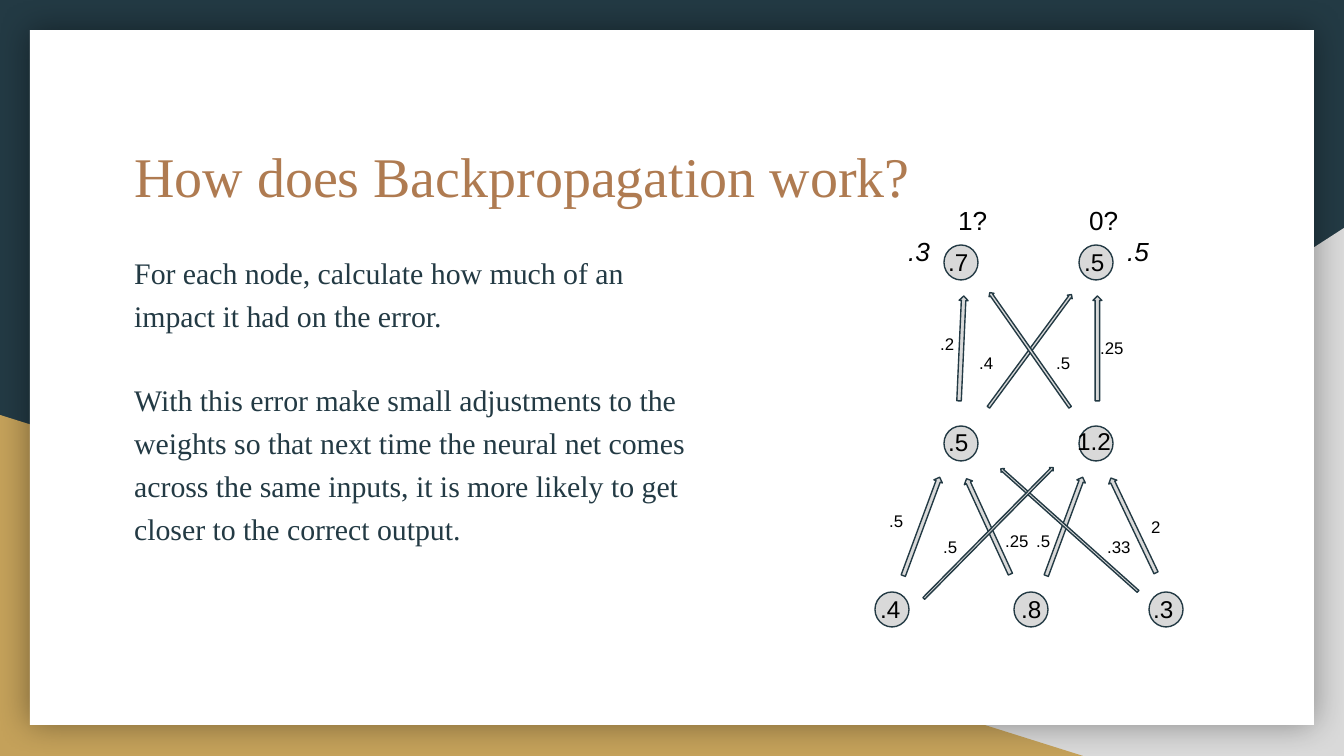
from lxml.etree import SubElement
from pptx import Presentation
from pptx.dml.color import RGBColor
from pptx.enum.shapes import MSO_SHAPE
from pptx.oxml.ns import qn
from pptx.util import Emu, Pt

PX = 914400 / 134.4
C = {"navy": "233A44", "gray": "D9D9D9", "gold": "C4A15A",
     "white": "FFFFFF", "brown": "AF7B51", "black": "000000"}


def add_shape(kind, box, fill, line=None, rot=0):
    sp = s.shapes.add_shape(kind, *[Emu(round(v * PX)) for v in box])
    sp.shadow.inherit = False
    sp.fill.solid()
    sp.fill.fore_color.rgb = RGBColor.from_string(C[fill])
    if line:
        sp.line.color.rgb = RGBColor.from_string(C[line])
        sp.line.width = Pt(0.75)
    else:
        sp.line.fill.background()
    sp.rotation = rot
    return sp


def add_text(box, paras, size, color="black", font="Arial", italic=None, tab=None):
    tb = s.shapes.add_textbox(*[Emu(round(v * PX)) for v in box])
    tf = tb.text_frame
    tf.word_wrap = True
    tf.margin_left = tf.margin_right = tf.margin_top = tf.margin_bottom = Pt(7.2)
    for i, text in enumerate(paras):
        p = tf.paragraphs[0] if i == 0 else tf.add_paragraph()
        p.text = text
        if tab:
            tabs = SubElement(p._p.get_or_add_pPr(), qn("a:tabLst"))
            SubElement(tabs, qn("a:tab"), pos=str(round(tab * PX)), algn="l")
        p.font.size = Pt(size)
        p.font.name = font
        p.font.italic = italic
        p.font.color.rgb = RGBColor.from_string(C[color])
    return tf


prs = Presentation()
prs.slide_width, prs.slide_height = Emu(round(1344 * PX)), Emu(round(756 * PX))
s = prs.slides.add_slide(prs.slide_layouts[6])
s.background.fill.solid()
s.background.fill.fore_color.rgb = RGBColor.from_string(C["navy"])

corner = add_shape(MSO_SHAPE.RIGHT_TRIANGLE, (527, 228, 817, 528), "gray")
corner._element.spPr.get_or_add_xfrm().set("flipH", "1")
add_shape(MSO_SHAPE.RIGHT_TRIANGLE, (0, 415, 1083, 341), "gold")
card = add_shape(MSO_SHAPE.RECTANGLE, (30, 30, 1284, 695), "white")
effects = card._element.spPr.find(qn("a:effectLst"))
shadow = SubElement(effects, qn("a:outerShdw"), blurRad=str(Pt(18)), dist="0",
                    dir="0", algn="ctr", rotWithShape="0")
clr = SubElement(shadow, qn("a:srgbClr"), val=C["black"])
SubElement(clr, qn("a:alpha"), val="40000")

add_text((121, 128, 902, 140), ["How does Backpropagation work?"], 30, "brown",
         "Times New Roman")
tf = add_text((121, 234, 603, 360), [
    "For each node, calculate how much of an impact it had on the error.",
    "With this error make small adjustments to the weights so that next time the "
    "neural net comes across the same inputs, it is more likely to get closer to "
    "the correct output.",
], 16, "navy", "Times New Roman")
for p in tf.paragraphs:
    p.line_spacing = 1.2
tf.paragraphs[1].space_before = Pt(22)

layers = [(245, (944, 1079)), (426, (944, 1079)), (592, (875, 1014, 1149))]
for y, columns in layers:
    for x in columns:
        add_shape(MSO_SHAPE.OVAL, (x, y, 34, 35), "gray", "navy")

arrows = [
    (917, 474, 9, 105, 20.3), (1027, 281, 6, 140, 36.4),
    (1060, 474, 9, 105, 20.3), (984, 474, 9, 105, 335.3),
    (1129, 473, 9, 105, 334.5), (1027, 280, 6, 140, 325),
    (957, 296, 9, 105, 2.6), (1093, 296, 9, 105, 0),
    (1067, 438, 5, 184, 311.8), (986, 441, 5, 184, 44.6),
]
for *box, rot in arrows:
    add_shape(MSO_SHAPE.UP_ARROW, box, "gray", "navy", rot)

values = [
    (".4", 867, 581, 63), (".8", 1008, 581, 52), (".3", 1140, 581, 63),
    (".7", 935, 234, 52), (".5", 935, 414, 52), (".5", 1071, 234, 52),
    ("1.2", 1064, 413, 63),
]
for text, x, y, w in values:
    add_text((x, y, w, 58), [text], 13)

weights = [
    (".5", 876, 501, 44), (".2", 927, 324, 44), (".5", 930, 527, 44),
    (".25", 992, 521, 63), ("2", 1138, 507, 44), (".33", 1094, 527, 63),
    (".5", 1023, 521, 44), (".4", 966, 343, 44), (".5", 1043, 343, 44),
    (".25", 1087, 328, 63),
]
for text, x, y, w in weights:
    add_text((x, y, w, 47), [text], 9)

add_text((945, 191, 200, 66), ["1?\t0?"], 14, tab=131)
for text, x in [(".3", 895), (".5", 1114)]:
    add_text((x, 222, 52, 58), [text], 14, italic=True)

prs.save("out.pptx")
